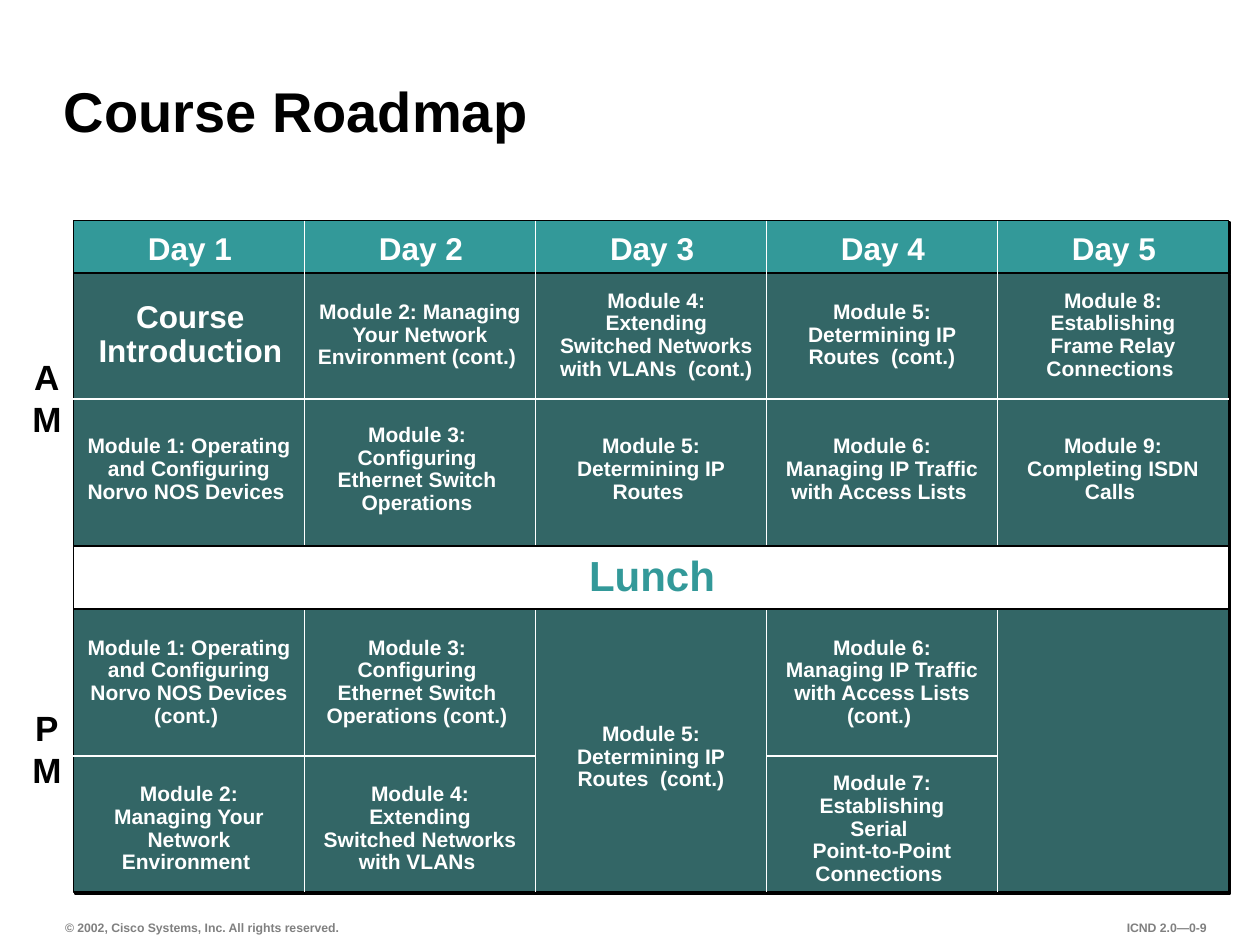
from dataclasses import dataclass

from lxml.etree import SubElement
from pptx import Presentation
from pptx.dml.color import RGBColor
from pptx.enum.shapes import MSO_CONNECTOR, MSO_SHAPE
from pptx.enum.text import MSO_ANCHOR, MSO_AUTO_SIZE, PP_ALIGN
from pptx.oxml.ns import qn
from pptx.util import Pt


@dataclass(frozen=True)
class Theme:
    font: str = "Arial"
    black: str = "000000"
    white: str = "FFFFFF"
    grey: str = "808080"
    teal: str = "339999"
    dark_teal: str = "336666"
    title: int = 32
    lunch: int = 24
    half_day: int = 20
    heading: int = 18
    module: int = 12
    footer: int = 7


THEME = Theme()

TITLE = "Course Roadmap"
DAYS = ["Day 1", "Day 2", "Day 3", "Day 4", "Day 5"]
LUNCH = "Lunch"
HALF_DAYS = [(["A", "M"], 227.4), (["P", "M"], 428)]
INTRODUCTION = ["Course", "Introduction"]
FOOTERS = [
    ("© 2002, Cisco Systems, Inc. All rights reserved.", 30.7, 170, PP_ALIGN.LEFT, MSO_ANCHOR.BOTTOM),
    ("ICND 2.0—0-9", 607.4, 88.6, PP_ALIGN.RIGHT, MSO_ANCHOR.TOP),
]

# column, row, lines, width, shift, text
MODULES = [
    (1, 0, 3, 132, 0, "Module 2: Managing Your Network Environment (cont.) "),
    (2, 0, 4, 126, 3, "Module 4: Extending Switched Networks with VLANs  (cont.)"),
    (3, 0, 3, 132, 0, "Module 5: Determining IP Routes  (cont.)"),
    (4, 0, 4, 115, 0, "Module 8: Establishing Frame Relay Connections "),
    (0, 1, 3, 132, 0, "Module 1: Operating and Configuring Norvo NOS Devices "),
    (1, 1, 4, 132, 0, "Module 3: \nConfiguring \nEthernet Switch \nOperations "),
    (2, 1, 3, 132, 0, "Module 5: Determining IP Routes "),
    (3, 1, 3, 126, 0, "Module 6: Managing IP Traffic with Access Lists "),
    (4, 1, 3, 114, 0, "Module 9: Completing ISDN Calls "),
    (0, 2, 4, 132, 0, "Module 1: Operating and Configuring Norvo NOS Devices\n(cont.) "),
    (1, 2, 4, 132, 0, "Module 3: \nConfiguring \nEthernet Switch \nOperations (cont.) "),
    (3, 2, 4, 126, 0, "Module 6: Managing IP Traffic with Access Lists\n(cont.) "),
    (2, 3, 3, 132, 0, "Module 5: Determining IP Routes  (cont.)"),
    (0, 4, 4, 120, 0, "Module 2: Managing Your Network Environment "),
    (1, 4, 4, 126, 0, "Module 4: Extending Switched Networks with VLANs "),
    (3, 4, 5, 120, 0, "Module 7: Establishing Serial \nPoint-to-Point Connections "),
]

LEFT, COLUMN = 42, 132
RIGHT = LEFT + COLUMN * len(DAYS)
TOP, BODY, MORNING_SPLIT, NOON, AFTERNOON, AFTERNOON_SPLIT, BOTTOM = 126, 156, 228, 312, 348, 432, 510
ROW_CENTRES = [191.8, 268.6, 390, 433, 474]
LINE_HEIGHT, PADDING = 13, 7.2


def colour(name):
    return RGBColor.from_string(name)


def column_left(column):
    return LEFT + column * COLUMN


def column_centre(column):
    return column_left(column) + COLUMN / 2


def fill_frame(frame, paragraphs, size, text_colour, align=PP_ALIGN.CENTER,
               spacing=None, insets=(7.2, 3.6)):
    frame.margin_left = frame.margin_right = Pt(insets[0])
    frame.margin_top = frame.margin_bottom = Pt(insets[1])
    for index, text in enumerate(paragraphs):
        para = frame.paragraphs[0] if index == 0 else frame.add_paragraph()
        para.alignment = align
        if spacing:
            para.line_spacing = spacing
        for number, line in enumerate(text.split("\n")):
            if number:
                para.add_line_break()
            span = para.add_run()
            span.text = line
            span.font.name = THEME.font
            span.font.size = Pt(size)
            span.font.bold = True
            span.font.color.rgb = colour(text_colour)


def add_text(page, left, top, width, height, paragraphs, size, text_colour,
             wrap=False, anchor=MSO_ANCHOR.TOP, **style):
    box = page.shapes.add_textbox(Pt(left), Pt(top), Pt(width), Pt(height))
    frame = box.text_frame
    frame.word_wrap = wrap
    frame.auto_size = MSO_AUTO_SIZE.SHAPE_TO_FIT_TEXT
    frame.vertical_anchor = anchor
    fill_frame(frame, paragraphs, size, text_colour, **style)


def add_centred(page, x, y, width, height, paragraphs, size, text_colour, **style):
    add_text(page, x - width / 2, y - height / 2, width, height, paragraphs, size, text_colour, **style)


def add_band(page, top, bottom, fill, weight=1, shadow=False):
    band = page.shapes.add_shape(MSO_SHAPE.RECTANGLE, Pt(LEFT), Pt(top), Pt(RIGHT - LEFT), Pt(bottom - top))
    band.shadow.inherit = False
    band.fill.solid()
    band.fill.fore_color.rgb = colour(fill)
    band.line.color.rgb = colour(THEME.black)
    band.line.width = Pt(weight)
    if shadow:
        effects = band._element.spPr.find(qn("a:effectLst"))
        outer = SubElement(effects, qn("a:outerShdw"), dist=str(Pt(1.4)), dir="2700000",
                           algn="ctr", rotWithShape="0")
        SubElement(outer, qn("a:srgbClr"), val=THEME.black)


def add_rule(page, x1, y1, x2, y2):
    rule = page.shapes.add_connector(MSO_CONNECTOR.STRAIGHT, Pt(x1), Pt(y1), Pt(x2), Pt(y2))
    rule.line.color.rgb = colour(THEME.white)
    rule.line.width = Pt(1)
    SubElement(rule._element.spPr, qn("a:effectLst"))


def add_title(page):
    title = page.shapes.title
    title.left, title.top, title.width, title.height = Pt(30), Pt(19.5), Pt(600), Pt(66.5)
    title.text_frame.auto_size = MSO_AUTO_SIZE.NONE
    title.text_frame.vertical_anchor = MSO_ANCHOR.BOTTOM
    fill_frame(title.text_frame, [TITLE], THEME.title, THEME.black, PP_ALIGN.LEFT, 0.9, (6.5, 3.2))


def add_grid(page):
    add_band(page, TOP, BODY, THEME.teal, weight=0.75, shadow=True)
    add_band(page, BODY, BOTTOM, THEME.dark_teal, shadow=True)
    for column in range(1, len(DAYS)):
        add_rule(page, column_left(column), TOP, column_left(column), BOTTOM)
    for first, last, y in [(0, 5, MORNING_SPLIT), (0, 2, AFTERNOON_SPLIT), (3, 4, AFTERNOON_SPLIT)]:
        add_rule(page, column_left(last), y, column_left(first), y)
    add_band(page, NOON, AFTERNOON, THEME.white)


def add_labels(page):
    for column, day in enumerate(DAYS):
        add_centred(page, column_centre(column) + 0.6, 141.9, 72, 28.8, [day],
                    THEME.heading, THEME.white, wrap=True)
    for letters, y in HALF_DAYS:
        add_centred(page, 26.8, y, 31, 55.4, letters, THEME.half_day, THEME.black)
    add_centred(page, column_centre(2) + 0.6, (NOON + AFTERNOON) / 2, 108, 33, [LUNCH],
                THEME.lunch, THEME.teal, wrap=True, spacing=0.9)
    add_centred(page, column_centre(0) + 0.8, ROW_CENTRES[0], 130, 46, INTRODUCTION,
                THEME.heading, THEME.white, wrap=True, spacing=0.9)
    for column, row, lines, width, shift, text in MODULES:
        add_centred(page, column_centre(column) + shift, ROW_CENTRES[row], width,
                    PADDING + lines * LINE_HEIGHT, [text], THEME.module, THEME.white,
                    wrap=True, spacing=0.9)


def main():
    deck = Presentation()
    deck.slide_width, deck.slide_height = Pt(720), Pt(540)
    page = deck.slides.add_slide(deck.slide_layouts[5])
    for text, left, width, align, anchor in FOOTERS:
        add_text(page, left, 522.7, width, 15, [text], THEME.footer, THEME.grey,
                 align=align, anchor=anchor, insets=(6.5, 3.2))
    add_title(page)
    add_grid(page)
    add_labels(page)
    deck.save("out.pptx")


if __name__ == "__main__":
    main()
